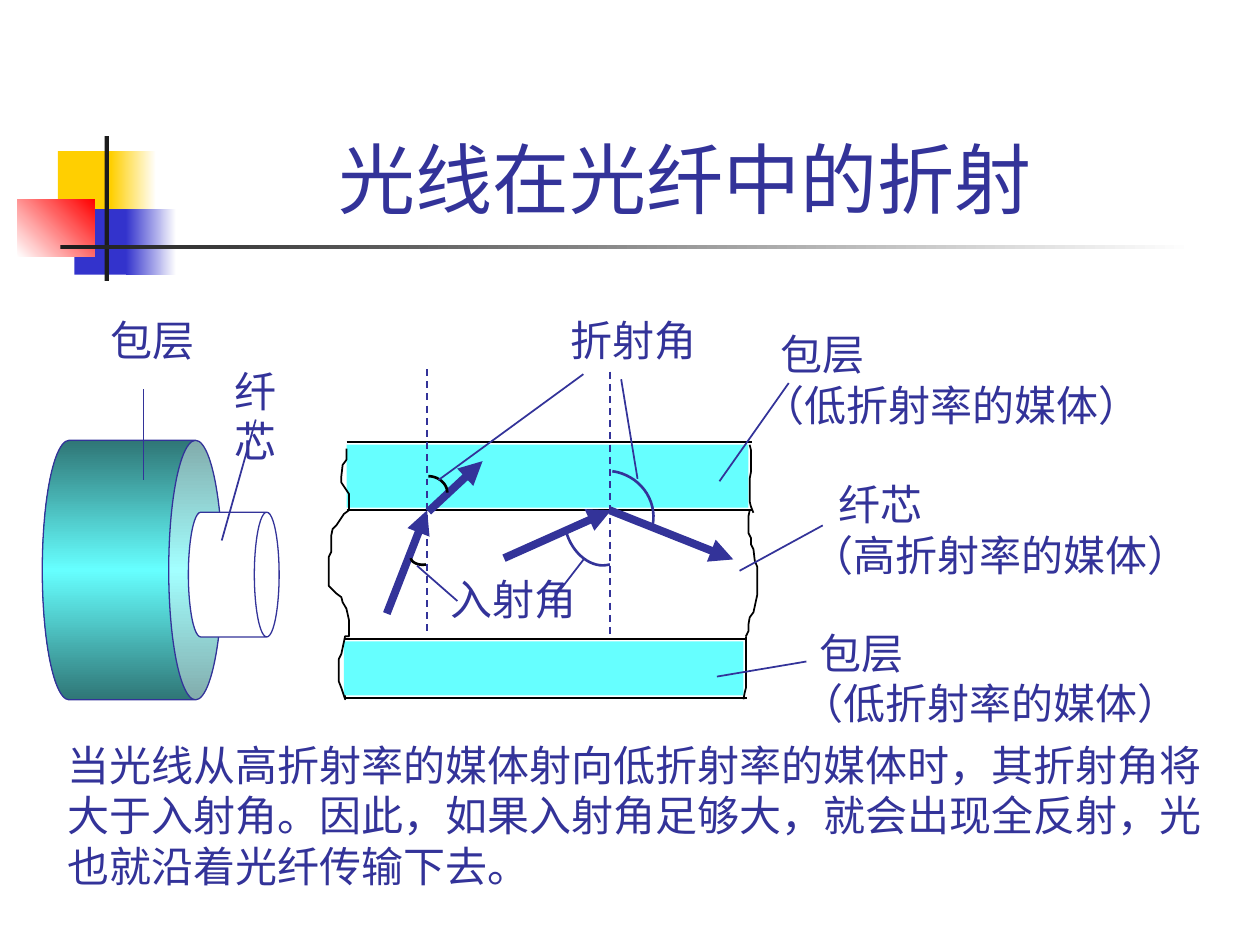
from dataclasses import dataclass

from lxml.etree import SubElement
from pptx import Presentation
from pptx.dml.color import RGBColor
from pptx.enum.dml import MSO_LINE
from pptx.enum.shapes import MSO_CONNECTOR, MSO_SHAPE
from pptx.enum.text import MSO_ANCHOR, MSO_AUTO_SIZE, PP_ALIGN
from pptx.oxml.ns import qn
from pptx.util import Inches, Pt


@dataclass(frozen=True)
class Theme:
    font: str = "Arial"
    title_size: float = 44
    label_size: float = 24
    ink: str = "333399"
    outline: str = "000000"
    cladding: str = "66FFFF"
    cladding_dark: str = "2F7676"
    white: str = "FFFFFF"
    yellow: str = "FFCF01"
    blue: str = "3333CC"
    red: str = "FF0000"
    bar: str = "1C1C1C"
    hairline: float = 0.75
    thin: float = 1
    arc: float = 1.5
    ray: float = 4.5


THEME = Theme()
WIDTH, HEIGHT = Inches(10), Inches(7.5)
COLUMNS, ROWS = 100, 75

LEFT_EDGE = [
    (27.5, 35.6), (27.5, 36.5), (27.2, 36.9), (27.1, 37.8), (27.1, 38.3),
    (27.7, 39.2), (27.7, 40.5), (27.3, 40.8), (26.7, 41.7), (26.4, 42),
    (26.3, 42.5), (26.3, 43.8), (26.1, 44.2), (26.1, 46.5), (26.7, 47.1),
    (27.1, 47.4), (27.2, 47.8), (27.5, 48.3), (27.7, 49.2), (27.7, 50.5),
    (27.4, 50.5), (27.1, 51.9), (26.9, 52.3), (26.9, 54.1), (27.1, 54.6),
    (27.4, 55.5), (27.4, 55.2),
]
RIGHT_EDGES = [
    [(59.5, 35.3), (59.6, 35.7), (59.6, 37.5), (59.5, 38), (59.5, 39.8),
     (59.6, 40.2), (59.8, 40.7)],
    [(59.5, 40.5), (59.4, 41), (59.4, 42.3), (59.6, 42.7), (59.6, 43.2),
     (59.8, 43.6), (59.9, 44.5), (60.1, 45), (60.1, 47.2), (59.8, 48.6),
     (59.5, 49), (59.4, 49.6), (59.4, 50.1), (59.2, 50.5)],
    [(59.2, 50.5), (59.2, 54.6), (59.1, 55), (59, 55.5)],
]


def place(column, row):
    return round(WIDTH * column / COLUMNS), round(HEIGHT * row / ROWS)


def color(code):
    return RGBColor.from_string(code)


def fill_gradient(shape, codes, angle=0):
    shape.fill.gradient()
    shape.fill.gradient_angle = angle
    stops = next(shape.fill._xPr.iter(qn("a:gsLst")))
    stops.clear()
    for index, code in enumerate(codes):
        position = str(100000 * index // (len(codes) - 1))
        stop = SubElement(stops, qn("a:gs"), pos=position)
        SubElement(stop, qn("a:srgbClr"), val=code)


def add_block(page, box, codes, angle=0, kind=MSO_SHAPE.RECTANGLE):
    shape = page.shapes.add_shape(kind, *place(*box[:2]), *place(*box[2:]))
    shape.shadow.inherit = False
    shape.line.fill.background()
    if len(codes) == 1:
        shape.fill.solid()
        shape.fill.fore_color.rgb = color(codes[0])
    else:
        fill_gradient(shape, codes, angle)
    return shape


def add_cylinder(page, box, codes, rim):
    can = add_block(page, box, codes, kind=MSO_SHAPE.CAN)
    can.adjustments[0] = rim
    can.rotation = 90
    can.line.color.rgb = color(THEME.ink)
    can.line.width = Pt(THEME.hairline)


def add_line(page, start, end, code=THEME.ink, width=THEME.thin, dashed=False, arrow=False):
    line = page.shapes.add_connector(MSO_CONNECTOR.STRAIGHT, *place(*start), *place(*end))
    line.line.color.rgb = color(code)
    line.line.width = Pt(width)
    if dashed:
        line.line.dash_style = MSO_LINE.DASH
    if arrow:
        SubElement(line.line._get_or_add_ln(), qn("a:tailEnd"), type="triangle")
    SubElement(line._element.spPr, qn("a:effectLst"))


def add_curve(page, points, code=THEME.outline, width=THEME.thin):
    corners = [place(*point) for point in points]
    builder = page.shapes.build_freeform(*corners[0])
    builder.add_line_segments(corners[1:], close=False)
    curve = builder.convert_to_shape()
    curve.shadow.inherit = False
    curve.fill.background()
    curve.line.color.rgb = color(code)
    curve.line.width = Pt(width)


def add_arc(page, controls, code, steps=16):
    points = []
    for step in range(steps + 1):
        t = step / steps
        weights = ((1 - t) ** 3, 3 * t * (1 - t) ** 2, 3 * t * t * (1 - t), t ** 3)
        points.append([sum(w * c for w, c in zip(weights, axis)) for axis in zip(*controls)])
    add_curve(page, points, code, THEME.arc)


def add_band(page, left, right, top, bottom):
    for row in (top, bottom):
        add_line(page, (left, row), (right, row), THEME.outline)
    add_block(page, (left, top + 0.2, right - left - 0.3, bottom - top - 0.4), [THEME.cladding])


def format_span(span, size):
    span.font.name = THEME.font
    span.font.size = Pt(size)
    span.font.color.rgb = color(THEME.ink)


def add_label(page, box, text, indent=0):
    label = page.shapes.add_textbox(*place(*box[:2]), *place(*box[2:]))
    frame = label.text_frame
    frame.word_wrap = True
    frame.text = text
    for para in frame.paragraphs:
        format_span(para.runs[0], THEME.label_size)
    if indent:
        frame.paragraphs[0]._p.get_or_add_pPr().set("marL", str(Inches(indent)))


def add_title(page, text):
    title = page.shapes.title
    title.left, title.top = place(11.8, 2.3)
    title.width, title.height = place(85.2, 16)
    frame = title.text_frame
    frame.text = text
    frame.auto_size = MSO_AUTO_SIZE.NONE
    frame.vertical_anchor = MSO_ANCHOR.BOTTOM
    frame.paragraphs[0].alignment = PP_ALIGN.CENTER
    format_span(frame.paragraphs[0].runs[0], THEME.title_size)


def add_ornament(page):
    add_block(page, (4.6, 12, 4.8, 5.2), [THEME.yellow])
    add_block(page, (8.8, 12, 3.6, 5.2), [THEME.yellow, THEME.white])
    add_block(page, (5.9, 16.6, 4.6, 5.2), [THEME.blue])
    add_block(page, (10, 16.6, 4, 5.2), [THEME.blue, THEME.white])
    add_block(page, (1.4, 15.8, 6.1, 4.6), [THEME.white, THEME.red], 45)
    add_block(page, (8.3, 10.8, 0.35, 11.5), [THEME.bar])
    add_block(page, (4.8, 19.45, 90, 0.35), [THEME.bar, THEME.white])


def add_fiber_section(page):
    add_band(page, 27.5, 59.7, 35.1, 40.5)
    add_band(page, 27.3, 59.3, 50.7, 55.4)
    for edge in [LEFT_EDGE, *RIGHT_EDGES]:
        add_curve(page, edge)


def add_rays(page):
    for column, row in [(33.9, 29.3), (48.4, 29.5)]:
        add_line(page, (column, row), (column, row + 21.2), dashed=True)
    for start, end in [
        ((34, 40.6), (38.3, 36.6)),
        ((30.7, 48.7), (33.9, 40.5)),
        ((40, 44.3), (48.5, 40.5)),
        ((48.4, 40.5), (58.2, 44.4)),
    ]:
        add_line(page, start, end, width=THEME.ray, arrow=True)
    for controls, code in [
        ([(33.8, 44.8), (33.3, 44.9), (32.7, 44.7), (32.6, 44.3)], THEME.outline),
        ([(34, 37.8), (34.8, 37.8), (35.5, 38.4), (35.5, 39.1)], THEME.outline),
        ([(48.4, 44.8), (47, 45.2), (45.4, 44), (44.9, 42.1)], THEME.ink),
        ([(48.6, 37.4), (50.7, 37.7), (52.2, 39.6), (51.8, 41.7)], THEME.ink),
    ]:
        add_arc(page, controls, code)


def add_labels(page):
    add_label(page, (44.3, 24.5, 12.2, 5), "折射角")
    add_label(page, (34.8, 45, 12.2, 5), "入射角")
    add_label(page, (59.5, 25.6, 32, 9), "包层\n（低折射率的媒体）", 0.15)
    add_label(page, (62.6, 49.3, 32, 9), "包层\n（低折射率的媒体）", 0.15)
    add_label(page, (63.4, 37.5, 34.8, 13), "纤芯\n（高折射率的媒体）", 0.22)
    add_label(page, (7.8, 24.5, 9, 5), "包层")
    add_label(page, (17.6, 28.5, 7.6, 9), "纤芯")
    add_label(
        page,
        (4.4, 58.2, 92.3, 17),
        "当光线从高折射率的媒体射向低折射率的媒体时，其折射角将大于入射角。"
        "因此，如果入射角足够大，就会出现全反射，光也就沿着光纤传输下去。",
    )


def add_leaders(page):
    for start, end in [
        ((49.3, 30.1), (50.6, 38)),
        ((34.8, 38.1), (46.3, 29.7)),
        ((33.1, 44.9), (36.3, 47.7)),
        ((43.7, 47.8), (46.4, 44.3)),
        ((58.7, 45.3), (65.3, 41.7)),
        ((62.6, 30.4), (57.1, 38.2)),
        ((64, 52.5), (56.9, 53.7)),
        ((11.4, 30.9), (11.4, 38.1)),
        ((20.3, 33.3), (17.6, 42.9)),
    ]:
        add_line(page, start, end)


def main():
    deck = Presentation()
    deck.slide_width, deck.slide_height = WIDTH, HEIGHT
    page = deck.slides.add_slide(deck.slide_layouts[5])
    add_ornament(page)
    add_title(page, "光线在光纤中的折射")
    add_fiber_section(page)
    add_rays(page)
    add_cylinder(
        page,
        (0.2, 38.1, 20.6, 14.3),
        [THEME.cladding_dark, THEME.cladding, THEME.cladding_dark],
        0.298,
    )
    add_cylinder(page, (13.6, 42, 9.9, 7.2), [THEME.white], 0.273)
    add_labels(page)
    add_leaders(page)
    deck.save("out.pptx")


if __name__ == "__main__":
    main()
